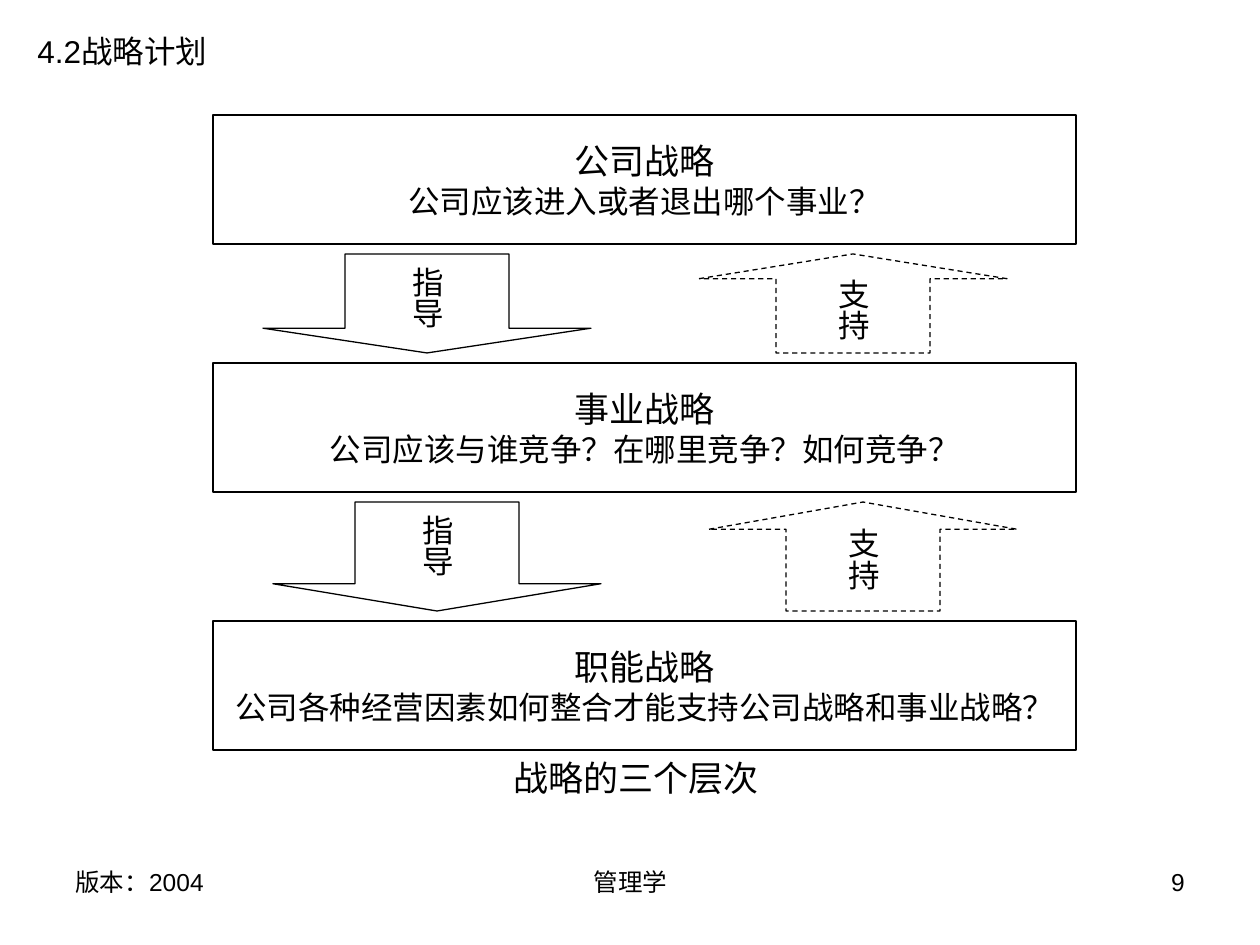
from pptx import Presentation
from pptx import util as u
from pptx.dml.color import RGBColor
from pptx.enum import dml, shapes, text

SCALE = 914400 / 126
LEFT, CENTER, RIGHT = text.PP_ALIGN.LEFT, text.PP_ALIGN.CENTER, text.PP_ALIGN.RIGHT


def color(hex_string):
    return RGBColor.from_string(hex_string)


def write(shape, lines, sizes, alignment, wrap):
    frame = shape.text_frame
    frame.text = "\n".join(lines)
    frame.word_wrap = wrap
    for paragraph, size in zip(frame.paragraphs, sizes):
        paragraph.alignment = alignment
        for run in paragraph.runs:
            run.font.size = u.Pt(size)
            run.font.name = "Arial"
            run.font.color.rgb = color("000000")


presentation = Presentation()
presentation.slide_width = round(1260 * SCALE)
presentation.slide_height = round(945 * SCALE)
slide = presentation.slides.add_slide(presentation.slide_layouts[6])

DOWN, UP = shapes.MSO_SHAPE.DOWN_ARROW, shapes.MSO_SHAPE.UP_ARROW
RECTANGLE = shapes.MSO_SHAPE.RECTANGLE

blocks = []
for top, name, question in [
    (621, "职能战略", "公司各种经营因素如何整合才能支持公司战略和事业战略？"),
    (363, "事业战略", "公司应该与谁竞争？在哪里竞争？如何竞争？"),
    (115, "公司战略", "公司应该进入或者退出哪个事业？"),
]:
    blocks.append((RECTANGLE, 213, top, 863, 129, [name, question]))
for kind, left, width, label in [(DOWN, 263, 328, "指导"), (UP, 699, 308, "支持")]:
    for shift, top, height in [(0, 254, 99), (10, 502, 109)]:
        blocks.append((kind, left + shift, top, width, height, [label]))

for kind, left, top, width, height, lines in blocks:
    box = [round(value * SCALE) for value in (left, top, width, height)]
    shape = slide.shapes.add_shape(kind, *box)
    shape.shadow.inherit = False
    shape.fill.solid()
    shape.fill.fore_color.rgb = color("FFFFFF")
    shape.line.color.rgb = color("000000")
    shape.line.width = u.Pt(0.75)
    shape.text_frame.vertical_anchor = text.MSO_ANCHOR.MIDDLE
    if kind == RECTANGLE:
        write(shape, lines, [20, 18], CENTER, False)
    else:
        shape.adjustments[0] = 0.5
        shape.adjustments[1] = 0.25
        write(shape, lines, [18], CENTER, False)
        shape.text_frame._txBody.bodyPr.set("vert", "eaVert")
    if kind == UP:
        shape.line.dash_style = dml.MSO_LINE.DASH

for left, top, width, height, label, size, alignment in [
    (25, 26, 195, 50, "4.2战略计划", 18, LEFT),
    (501, 750, 277, 54, "战略的三个层次", 20, LEFT),
    (63, 861, 294, 66, "版本：2004", 14, LEFT),
    (431, 861, 399, 66, "管理学", 14, CENTER),
    (903, 861, 294, 66, "9", 14, RIGHT),
]:
    box = [round(value * SCALE) for value in (left, top, width, height)]
    write(slide.shapes.add_textbox(*box), [label], [size], alignment, True)

presentation.save("out.pptx")
